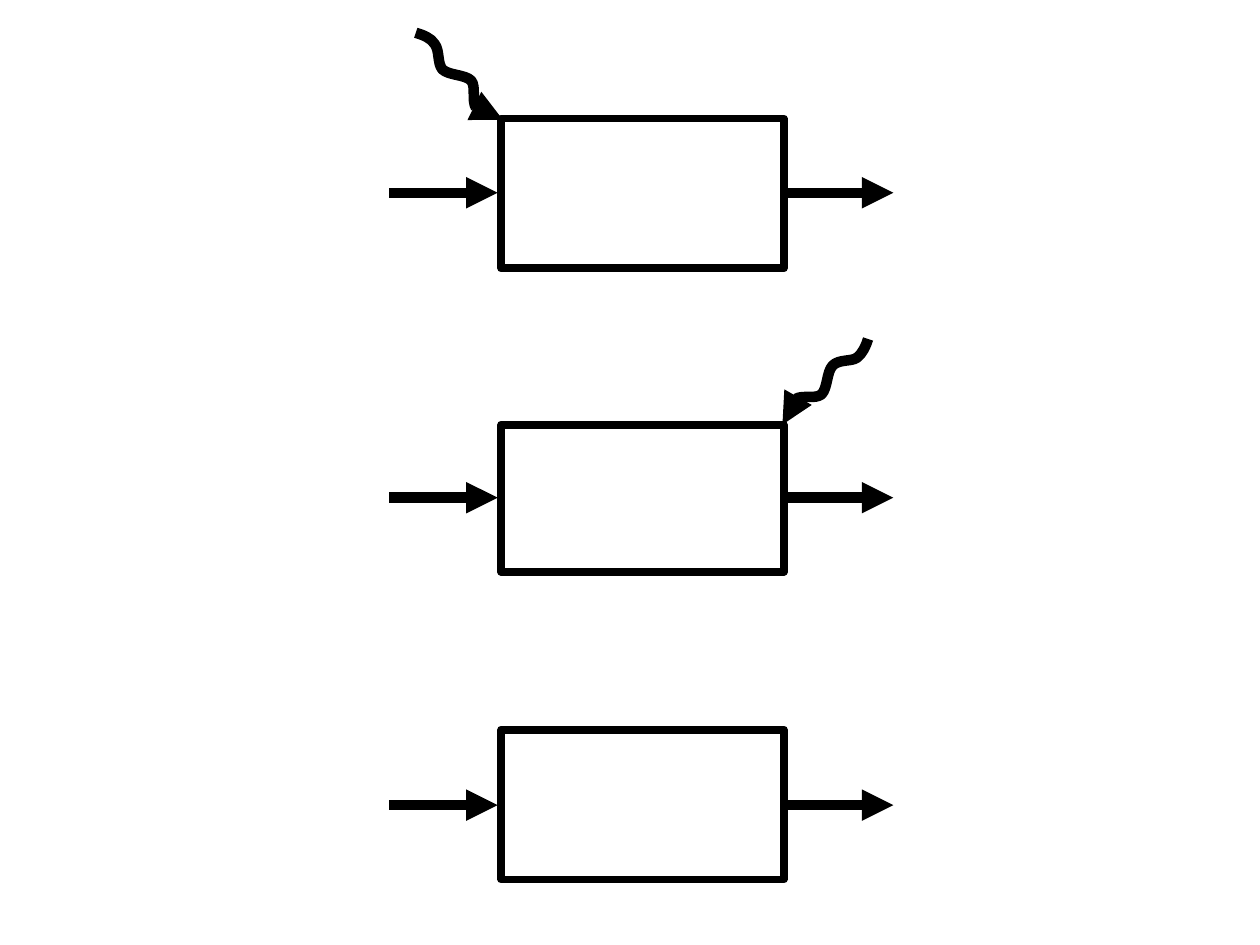
from dataclasses import dataclass
from typing import Any

from pptx import Presentation
from pptx.dml.color import RGBColor
from pptx.enum.shapes import MSO_CONNECTOR as Connector, MSO_SHAPE as Preset
from pptx.oxml.ns import qn
from pptx.oxml.xmlchemy import OxmlElement
from pptx.util import Inches, Pt

Point = tuple[float, float]

COLOURS = {"ink": "000000", "paper": "FFFFFF"}
BOX_LINE = {"width": Pt(4.5)}
ARROW_LINE = {"width": Pt(6)}
BOX_LEFT, BOX_WIDTH = 3.98, 2.24
ARROW_LENGTH = 0.86
ARROW_STARTS = (3.09, 6.23)


@dataclass(frozen=True)
class Stage:
    top: float
    height: float
    flow_y: float
    # Start point, then two control points and an end point per curve
    wave: tuple[Point, ...] = ()


STAGES = (
    Stage(0.94, 1.19, 1.53, (
        (3.3, 0.26),
        (3.36, 0.28), (3.42, 0.3), (3.45, 0.35),
        (3.49, 0.4), (3.47, 0.5), (3.51, 0.55),
        (3.56, 0.6), (3.69, 0.59), (3.74, 0.64),
        (3.78, 0.69), (3.74, 0.8), (3.78, 0.86),
        (3.83, 0.91), (3.91, 0.93), (3.99, 0.95),
    )),
    Stage(3.37, 1.17, 3.95, (
        (6.89, 2.69),
        (6.87, 2.75), (6.85, 2.8), (6.8, 2.84),
        (6.76, 2.87), (6.66, 2.85), (6.61, 2.9),
        (6.56, 2.95), (6.57, 3.08), (6.52, 3.13),
        (6.47, 3.17), (6.36, 3.13), (6.31, 3.17),
        (6.26, 3.21), (6.23, 3.29), (6.21, 3.37),
    )),
    Stage(5.79, 1.19, 6.39),
)


def colour(name: str) -> RGBColor:
    return RGBColor.from_string(COLOURS[name])


def style_line(shape: Any, values: dict[str, Any]) -> None:
    shape.line.color.rgb = colour("ink")
    for name, value in values.items():
        setattr(shape.line, name, value)


def add_arrowhead(shape: Any) -> None:
    tail = OxmlElement("a:tailEnd")
    tail.set("type", "triangle")
    shape._element.spPr.find(qn("a:ln")).append(tail)


def draw_box(group: Any, stage: Stage) -> None:
    box = group.shapes.add_shape(
        Preset.RECTANGLE, Inches(BOX_LEFT), Inches(stage.top),
        Inches(BOX_WIDTH), Inches(stage.height))
    box.shadow.inherit = False
    box.fill.solid()
    box.fill.fore_color.rgb = colour("paper")
    style_line(box, BOX_LINE)


def draw_arrow(group: Any, left: float, y: float) -> None:
    arrow = group.shapes.add_connector(
        Connector.STRAIGHT, Inches(left), Inches(y),
        Inches(left + ARROW_LENGTH), Inches(y))
    style_line(arrow, ARROW_LINE)
    add_arrowhead(arrow)
    arrow._element.spPr.append(OxmlElement("a:effectLst"))


def draw_wave(group: Any, points: tuple[Point, ...]) -> None:
    start, *rest = [(Inches(x), Inches(y)) for x, y in points]
    builder = group.shapes.build_freeform(*start)
    builder.add_line_segments(rest, close=False)
    wave = builder.convert_to_shape()
    wave.shadow.inherit = False
    wave.fill.background()
    style_line(wave, ARROW_LINE)
    add_arrowhead(wave)

    # Turn each three straight segments into one Bezier curve
    outline = next(wave._element.iter(qn("a:path")))
    segments = outline.findall(qn("a:lnTo"))
    for first in range(0, len(segments), 3):
        curve = OxmlElement("a:cubicBezTo")
        for segment in segments[first:first + 3]:
            curve.append(segment[0])
            outline.remove(segment)
        outline.append(curve)


def draw_stage(page: Any, stage: Stage) -> None:
    group = page.shapes.add_group_shape()
    draw_box(group, stage)
    for left in ARROW_STARTS:
        draw_arrow(group, left, stage.flow_y)
    if stage.wave:
        draw_wave(group, stage.wave)


# Deck and page
deck = Presentation()
deck.slide_width, deck.slide_height = Inches(10), Inches(7.5)
page = deck.slides.add_slide(deck.slide_layouts[6])

# Three stages, each a box with its flow arrows
for stage in STAGES:
    draw_stage(page, stage)

deck.save("out.pptx")
